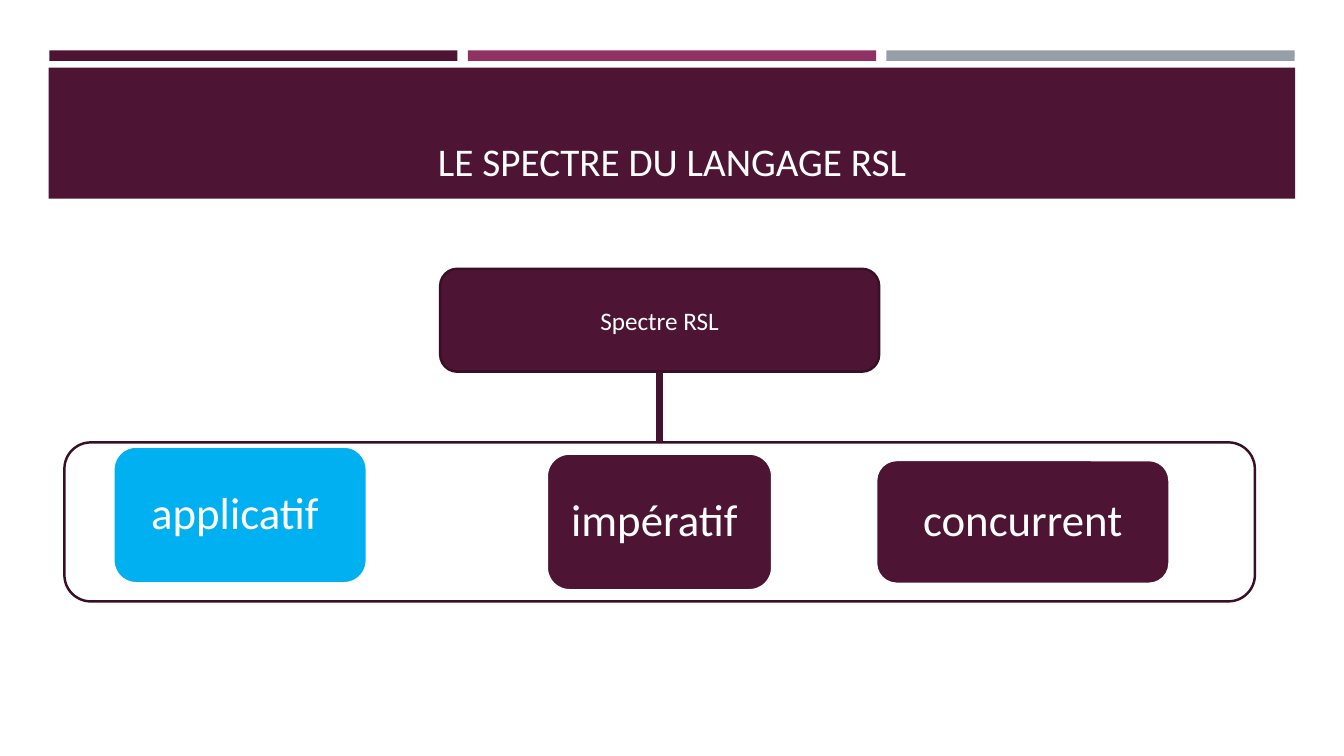
"""Build the slide showing the three styles of the RSL language."""
from lxml import etree
from pptx import Presentation
from pptx.dml.color import RGBColor
from pptx.enum import shapes, text
from pptx.oxml import ns
from pptx.util import Pt

COLORS = {"plum": "4D1434", "magenta": "903163", "grey": "969FA7", "border": "390F26",
          "link": "45122F", "blue": "00B0F0", "white": "FFFFFF"}
RECT = shapes.MSO_SHAPE.RECTANGLE
ROUND = shapes.MSO_SHAPE.ROUNDED_RECTANGLE


def add_box(kind, box, fill=None, line=None):
    sp = s.shapes.add_shape(kind, *map(Pt, box))
    sp.shadow.inherit = False
    if fill:
        sp.fill.solid()
        sp.fill.fore_color.rgb = RGBColor.from_string(COLORS[fill])
    else:
        sp.fill.background()
    if line:
        sp.line.color.rgb = RGBColor.from_string(COLORS[line])
        sp.line.width = Pt(1.75)
    else:
        sp.line.fill.background()
    return sp


def set_text(sp, words, size, anchor=text.MSO_ANCHOR.MIDDLE):
    tf = sp.text_frame
    tf.text = words
    tf.word_wrap = True
    tf.auto_size = text.MSO_AUTO_SIZE.NONE
    tf.vertical_anchor = anchor
    p = tf.paragraphs[0]
    p.alignment = text.PP_ALIGN.CENTER
    r = p.runs[0]
    r.font.name = "Calibri"
    r.font.size = Pt(size)
    r.font.color.rgb = RGBColor.from_string(COLORS["white"])
    return p


prs = Presentation()
prs.slide_width, prs.slide_height = Pt(960), Pt(540)
s = prs.slides.add_slide(prs.slide_layouts[5])

for i, color in enumerate(("plum", "magenta", "grey")):
    add_box(RECT, (35.2 + 299 * i, 36, 291.6, 7.5), color)
add_box(RECT, (34.8, 48.4, 890.4, 93.6), "plum")

title = s.shapes.title
title.left, title.top, title.width, title.height = Pt(46), Pt(55.4), Pt(868), Pt(80)
set_text(title, "LE SPECTRE DU LANGAGE RSL", 28, text.MSO_ANCHOR.BOTTOM)
s.shapes.element.append(title.element)

root = add_box(ROUND, (314.4, 192, 313.6, 73.5), "plum", "border")
set_text(root, "Spectre RSL", 18)
frame = add_box(ROUND, (46, 316, 850.4, 113.6), None, "border")

styles = [("applicatif ", (81, 319, 181, 97.6), "blue"),
          ("impératif ", (390.6, 324, 161, 97.6), "plum"),
          ("concurrent", (625.8, 328.6, 209.6, 88.4), "plum")]
for words, box, color in styles:
    sp = add_box(ROUND, box, color, "white")
    p = set_text(sp, words, 32)
    p.line_spacing = 0.9

link = s.shapes.add_connector(shapes.MSO_CONNECTOR.STRAIGHT, 0, 0, 0, 0)
link.begin_connect(root, 2)
link.end_connect(frame, 0)
link.line.color.rgb = RGBColor.from_string(COLORS["link"])
link.line.width = Pt(4.5)
etree.SubElement(link.element.spPr, ns.qn("a:effectLst"))

prs.save("out.pptx")
